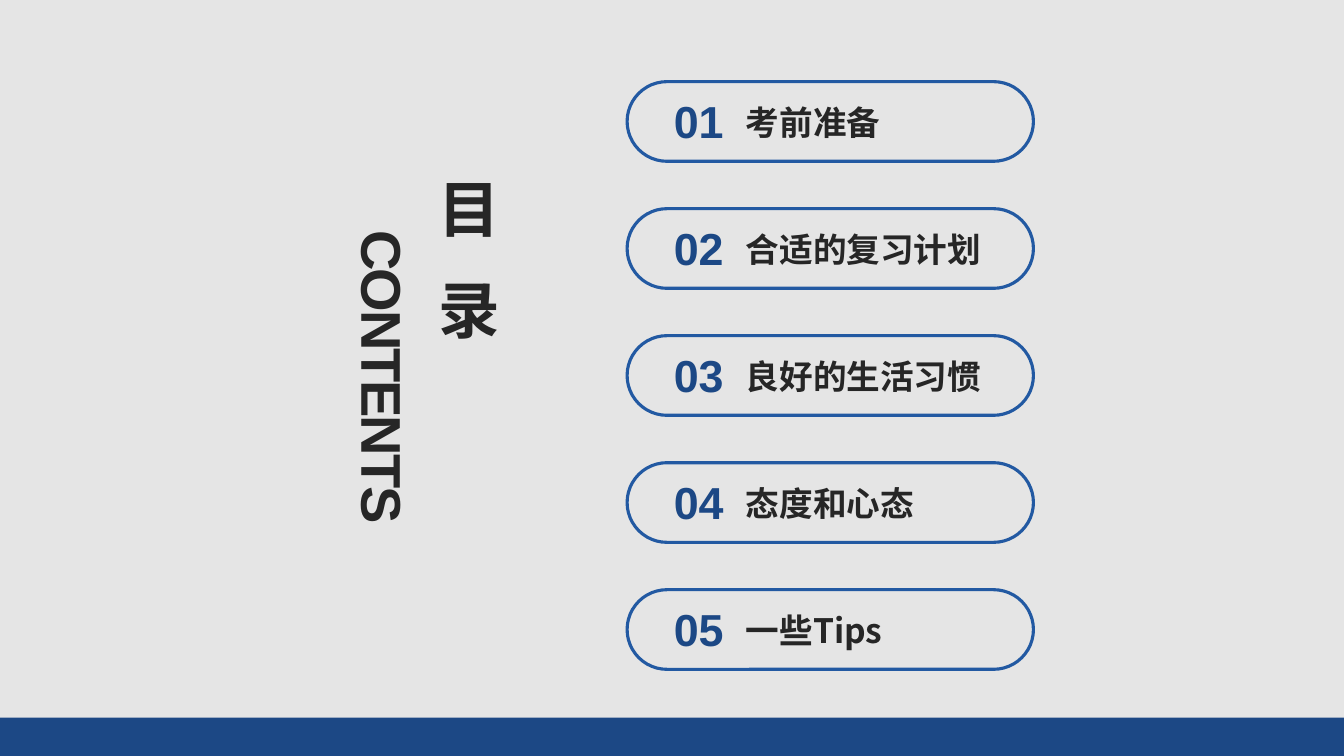
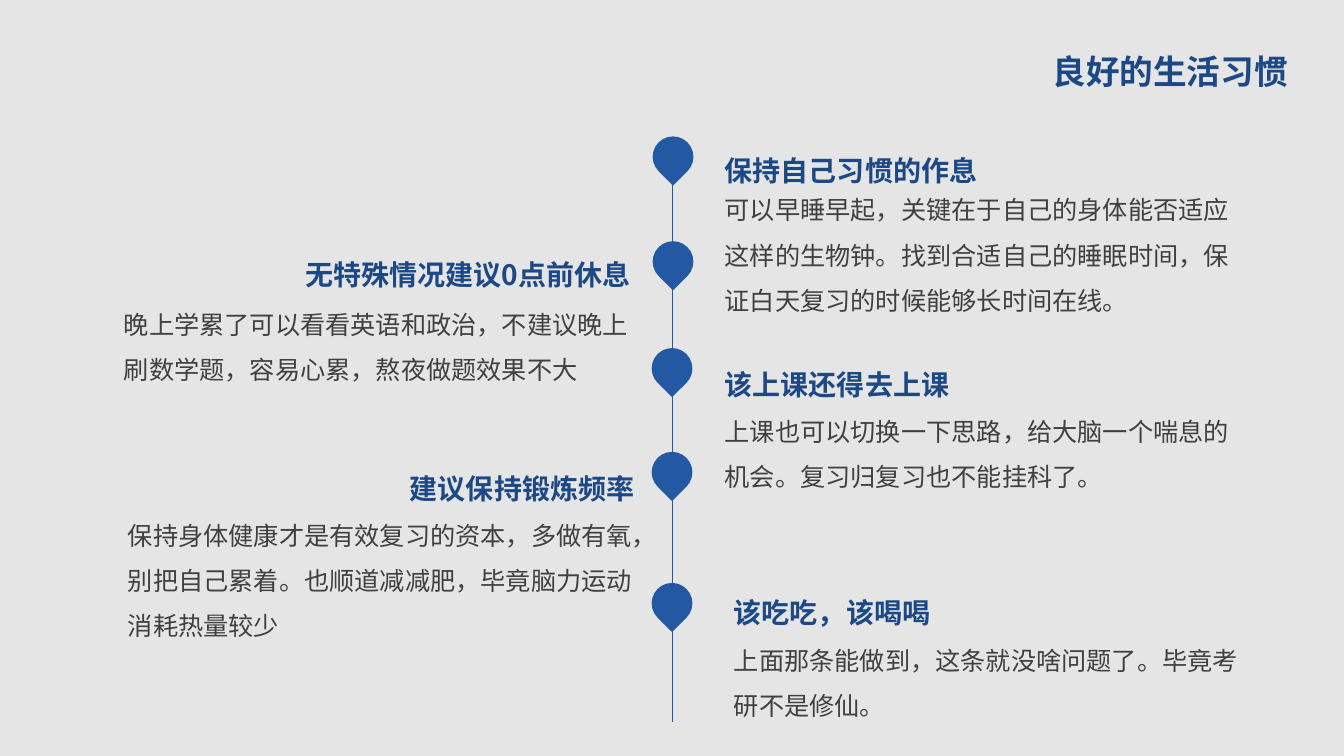
from lxml.etree import SubElement
from pptx import Presentation
from pptx.dml.color import RGBColor
from pptx.enum.shapes import MSO_CONNECTOR as Link, MSO_SHAPE as Form
from pptx.enum.text import MSO_AUTO_SIZE as Auto, PP_ALIGN as Align
from pptx.oxml.ns import qn
from pptx.util import Inches, Pt

PAPER = RGBColor(0xE5, 0xE5, 0xE5)
NAVY = RGBColor(0x1C, 0x48, 0x85)
BLUE = RGBColor(0x22, 0x59, 0xA2)
INK = RGBColor(0x26, 0x26, 0x26)
GREY = RGBColor(0x40, 0x40, 0x40)
HAN = "Noto Sans CJK SC"
LATIN = "Arial"

TOPICS = ["考前准备", "合适的复习计划", "良好的生活习惯", "态度和心态", "一些Tips"]

# pin left, pin top, text left, heading top, body top, body height, heading, body
HABITS = [
    (6.48, 1.36, 7.09, 1.31, 1.73, 1.41, "保持自己习惯的作息",
     "可以早睡早起，关键在于自己的身体能否适应这样的生物钟。"
     "找到合适自己的睡眠时间，保证白天复习的时候能够长时间在线。"),
    (6.48, 2.4, 1.13, 2.34, 2.87, 0.96, "无特殊情况建议0点前休息",
     "晚上学累了可以看看英语和政治，不建议晚上刷数学题，"
     "容易心累，熬夜做题效果不大"),
    (6.47, 3.46, 7.09, 3.43, 3.93, 0.96, "该上课还得去上课",
     "上课也可以切换一下思路，给大脑一个喘息的机会。复习归复习也不能挂科了。"),
    (6.47, 4.49, 1.17, 4.46, 4.96, 1.41, "建议保持锻炼频率",
     "保持身体健康才是有效复习的资本，多做有氧，别把自己累着。"
     "也顺道减减肥，毕竟脑力运动消耗热量较少"),
    (6.47, 5.79, 7.18, 5.69, 6.2, 0.96, "该吃吃，该喝喝",
     "上面那条能做到，这条就没啥问题了。毕竟考研不是修仙。"),
]


def add_text(slide, box, text, size, color, bold=True, face=HAN,
             align=Align.LEFT, leading=None, upright=False, track=0):
    """Add a one-paragraph text box; upright sets it in vertical columns."""
    shape = slide.shapes.add_textbox(*map(Inches, box))
    frame = shape.text_frame
    frame.word_wrap = True
    frame.auto_size = Auto.SHAPE_TO_FIT_TEXT
    if upright:
        frame._txBody.bodyPr.set("vert", "eaVert")
    para = frame.paragraphs[0]
    para.text = text
    para.alignment = align
    if leading:
        para.line_spacing = leading
    font = para.font
    font.size, font.bold, font.name = Pt(size), bold, face
    font.color.rgb = color
    props = para._p.pPr.find(qn("a:defRPr"))
    SubElement(props, qn("a:ea")).set("typeface", face)
    if track:
        props.set("spc", str(int(track * 100)))


def add_form(slide, form, box, fill=None, line=None, weight=1):
    shape = slide.shapes.add_shape(form, *map(Inches, box))
    shape.shadow.inherit = False
    if fill:
        shape.fill.solid()
        shape.fill.fore_color.rgb = fill
    else:
        shape.fill.background()
    if line:
        shape.line.color.rgb = line
        shape.line.width = Pt(weight)
    else:
        shape.line.fill.background()
    return shape


def add_pill(slide, top, number, topic):
    pill = add_form(slide, Form.ROUNDED_RECTANGLE, (6.22, top, 4.03, 0.79),
                    line=BLUE, weight=2.25)
    pill.adjustments[0] = 0.5
    add_text(slide, (6.54, top + 0.07, 0.78, 0.64), f"{number:02}", 32, NAVY,
             face=LATIN, align=Align.CENTER)
    add_text(slide, (7.3, top + 0.15, 2.95, 0.5), topic, 24, INK)


def add_axis(slide, x, top, end):
    axis = slide.shapes.add_connector(
        Link.STRAIGHT, Inches(x), Inches(top), Inches(x), Inches(end))
    axis.line.color.rgb = BLUE
    axis.line.width = Pt(0.5)
    SubElement(axis._element.spPr, qn("a:effectLst"))


def add_habit(slide, pin_x, pin_y, left, head_y, body_y, height, head, body):
    pin = add_form(slide, Form.TEAR, (pin_x, pin_y, 0.39, 0.39), BLUE, BLUE)
    pin.rotation = 135
    add_text(slide, (left, body_y, 5.27, height), body, 18, GREY,
             bold=False, leading=1.5)
    before = left < pin_x
    head_x = left + 1.53 if before else left
    add_text(slide, (head_x, head_y, 3.69, 0.61), head, 20, NAVY,
             align=Align.RIGHT if before else Align.LEFT, leading=1.5)


def build_contents(slide):
    add_text(slide, (4.11, 1.67, 0.94, 2.32), "目 录", 44, INK,
             align=Align.CENTER, upright=True, track=9)
    add_text(slide, (3.31, 2.19, 0.88, 3.72), "CONTENTS", 40, INK, face=LATIN,
             align=Align.CENTER, upright=True, track=-1.5)
    for i, topic in enumerate(TOPICS):
        add_pill(slide, 0.81 + 1.26 * i, i + 1, topic)
    add_form(slide, Form.RECTANGLE, (0, 7.12, 13.33, 0.38), NAVY)


def build_habits(slide):
    add_text(slide, (9.22, 0.46, 3.65, 0.5), TOPICS[2], 24, NAVY,
             align=Align.RIGHT)
    add_axis(slide, 6.67, 1.76, 7.16)
    for habit in HABITS:
        add_habit(slide, *habit)


def main():
    deck = Presentation()
    deck.slide_width, deck.slide_height = Inches(13.33), Inches(7.5)
    back = deck.slide_master.background.fill
    back.solid()
    back.fore_color.rgb = PAPER
    for build in (build_contents, build_habits):
        build(deck.slides.add_slide(deck.slide_layouts[6]))
    deck.save("out.pptx")


if __name__ == "__main__":
    main()
